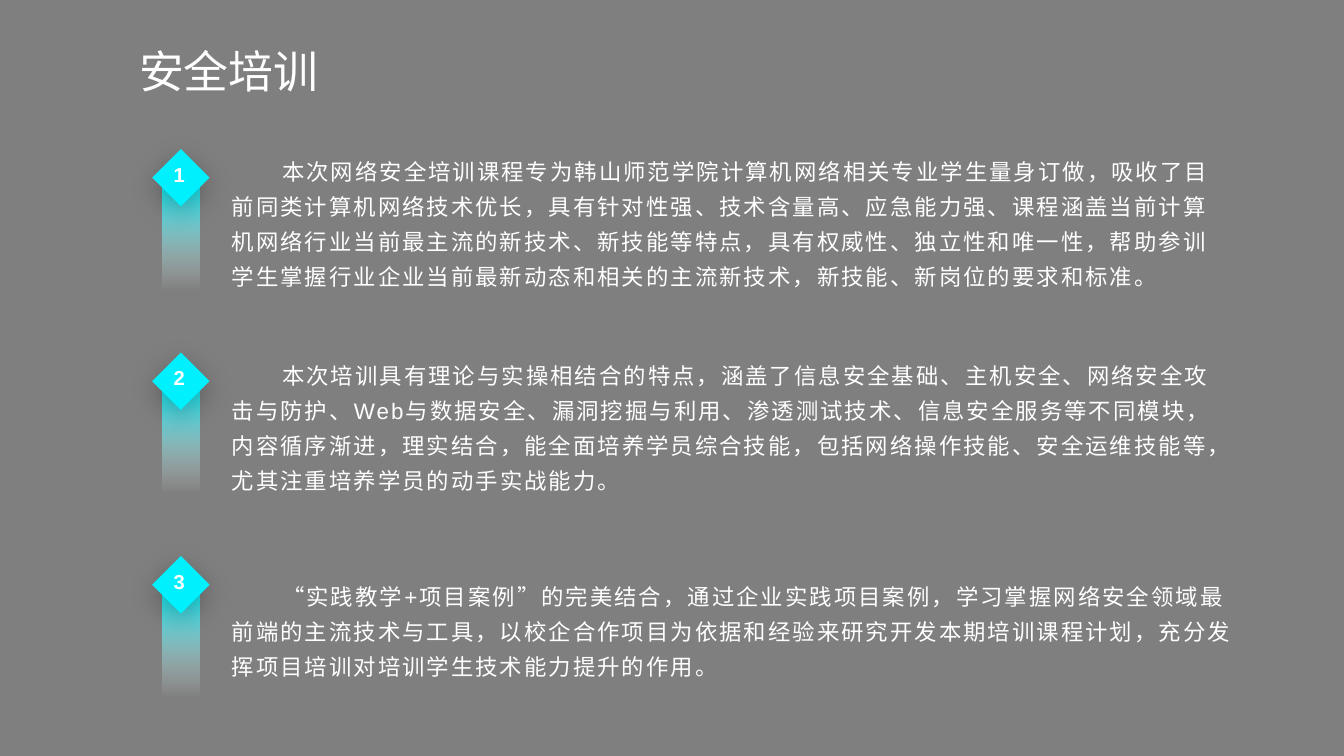
from dataclasses import dataclass

from lxml import etree
from pptx import Presentation
from pptx.dml.color import RGBColor
from pptx.enum import shapes, text
from pptx.oxml import ns
from pptx.util import Pt

WHITE = RGBColor(0xFF, 0xFF, 0xFF)
BLACK = RGBColor(0, 0, 0)
CYAN = RGBColor(0x00, 0xF1, 0xFD)
LATIN = "Arial"
HAN = "Noto Sans CJK SC"
WIDE, HIGH = 960, 540
TOP, STEP = 106.4, 145.4


@dataclass
class Box:
    left: float
    top: float
    width: float
    height: float

    def points(self) -> tuple:
        return tuple(Pt(v) for v in (self.left, self.top, self.width, self.height))


@dataclass
class Item:
    width: float
    words: str


ITEMS = [
    Item(724.3, "本次网络安全培训课程专为韩山师范学院计算机网络相关专业学生量身订做，"
         "吸收了目前同类计算机网络技术优长，具有针对性强、技术含量高、应急能力强、"
         "课程涵盖当前计算机网络行业当前最主流的新技术、新技能等特点，具有权威性、"
         "独立性和唯一性，帮助参训学生掌握行业企业当前最新动态和相关的主流新技术，"
         "新技能、新岗位的要求和标准。"),
    Item(730.8, "本次培训具有理论与实操相结合的特点，涵盖了信息安全基础、主机安全、"
         "网络安全攻击与防护、Web与数据安全、漏洞挖掘与利用、渗透测试技术、"
         "信息安全服务等不同模块，内容循序渐进，理实结合，能全面培养学员综合技能，"
         "包括网络操作技能、安全运维技能等，尤其注重培养学员的动手实战能力。"),
    Item(736.6, "“实践教学+项目案例”的完美结合，通过企业实践项目案例，"
         "学习掌握网络安全领域最前端的主流技术与工具，以校企合作项目为依据和经验来"
         "研究开发本期培训课程计划，充分发挥项目培训对培训学生技术能力提升的作用。"),
]


def add_node(parent, tag: str, **attrs):
    return etree.SubElement(parent, ns.qn(tag), {k: str(v) for k, v in attrs.items()})


def set_alpha(fill, share: int) -> None:
    """Set the opacity, in percent, of the RGB colour inside a fill or stop."""
    add_node(next(fill.iter(ns.qn("a:srgbClr"))), "a:alpha", val=share * 1000)


def add_shape(slide, kind, box: Box):
    shape = slide.shapes.add_shape(kind, *box.points())
    shape.shadow.inherit = False
    shape.line.fill.background()
    return shape


def add_text(slide, box: Box, words: str, size: float, font: str = LATIN,
             bold: bool = False, space: int = 0):
    """Add a one-run text box; space is letter spacing in hundredths of a point."""
    frame = slide.shapes.add_textbox(*box.points()).text_frame
    frame.word_wrap = True
    run = frame.paragraphs[0].add_run()
    run.text = words
    run.font.size, run.font.name, run.font.bold = Pt(size), font, bold
    run.font.color.rgb = WHITE
    props = run.font._element
    props.set("lang", "zh-CN")
    props.set("spc", str(space))
    add_node(props, "a:ea", typeface=HAN)
    return frame


def add_shade(slide) -> None:
    """Darken the whole slide with half-clear black."""
    shade = add_shape(slide, shapes.MSO_SHAPE.RECTANGLE, Box(0, 0, WIDE, HIGH))
    shade.fill.solid()
    shade.fill.fore_color.rgb = BLACK
    set_alpha(shade._element.spPr, 50)


def add_bar(slide, top: float) -> None:
    bar = add_shape(slide, shapes.MSO_SHAPE.RECTANGLE, Box(115.9, top, 26.8, 77.8))
    bar.fill.gradient()
    bar.fill.gradient_angle = 90
    for stop, place, color in zip(bar.fill.gradient_stops, (0, 1), (WHITE, CYAN)):
        stop.position = place
        stop.color.rgb = color
    set_alpha(bar._element.spPr, 0)


def add_gem(slide, top: float) -> None:
    """Add the diamond with its soft shadow."""
    gem = add_shape(slide, shapes.MSO_SHAPE.FLOWCHART_DECISION, Box(108.7, top, 41, 41))
    gem.fill.solid()
    gem.fill.fore_color.rgb = CYAN
    effects = gem._element.spPr.find(ns.qn("a:effectLst"))
    shadow = add_node(effects, "a:outerShdw", blurRad=Pt(20), dist=Pt(6),
                      dir=90 * 60000, algn="ctr", rotWithShape=0)
    add_node(shadow, "a:srgbClr", val=BLACK)
    set_alpha(shadow, 27)


def add_item(slide, index: int, item: Item) -> None:
    top = TOP + index * STEP
    body = add_text(slide, Box(158.4, top - 6, item.width, 113.8), item.words, 16, space=150)
    body.vertical_anchor = text.MSO_ANCHOR.MIDDLE
    para = body.paragraphs[0]
    para.line_spacing = 1.3
    para._p.get_or_add_pPr().set("indent", str(Pt(36)))
    add_bar(slide, top + 23.2)
    add_gem(slide, top)
    digit = add_text(slide, Box(117, top + 2.2, 19.4, 31.7), str(index + 1), 14.4, bold=True)
    digit.vertical_anchor = text.MSO_ANCHOR.MIDDLE


def main() -> None:
    deck = Presentation()
    deck.slide_width, deck.slide_height = Pt(WIDE), Pt(HIGH)
    slide = deck.slides.add_slide(deck.slide_layouts[6])
    add_shade(slide)
    title = add_text(slide, Box(92.2, 27.4, 351.4, 46.1), "安全培训", 32, HAN)
    title.auto_size = text.MSO_AUTO_SIZE.SHAPE_TO_FIT_TEXT
    for index, item in enumerate(ITEMS):
        add_item(slide, index, item)
    deck.save("out.pptx")


if __name__ == "__main__":
    main()
